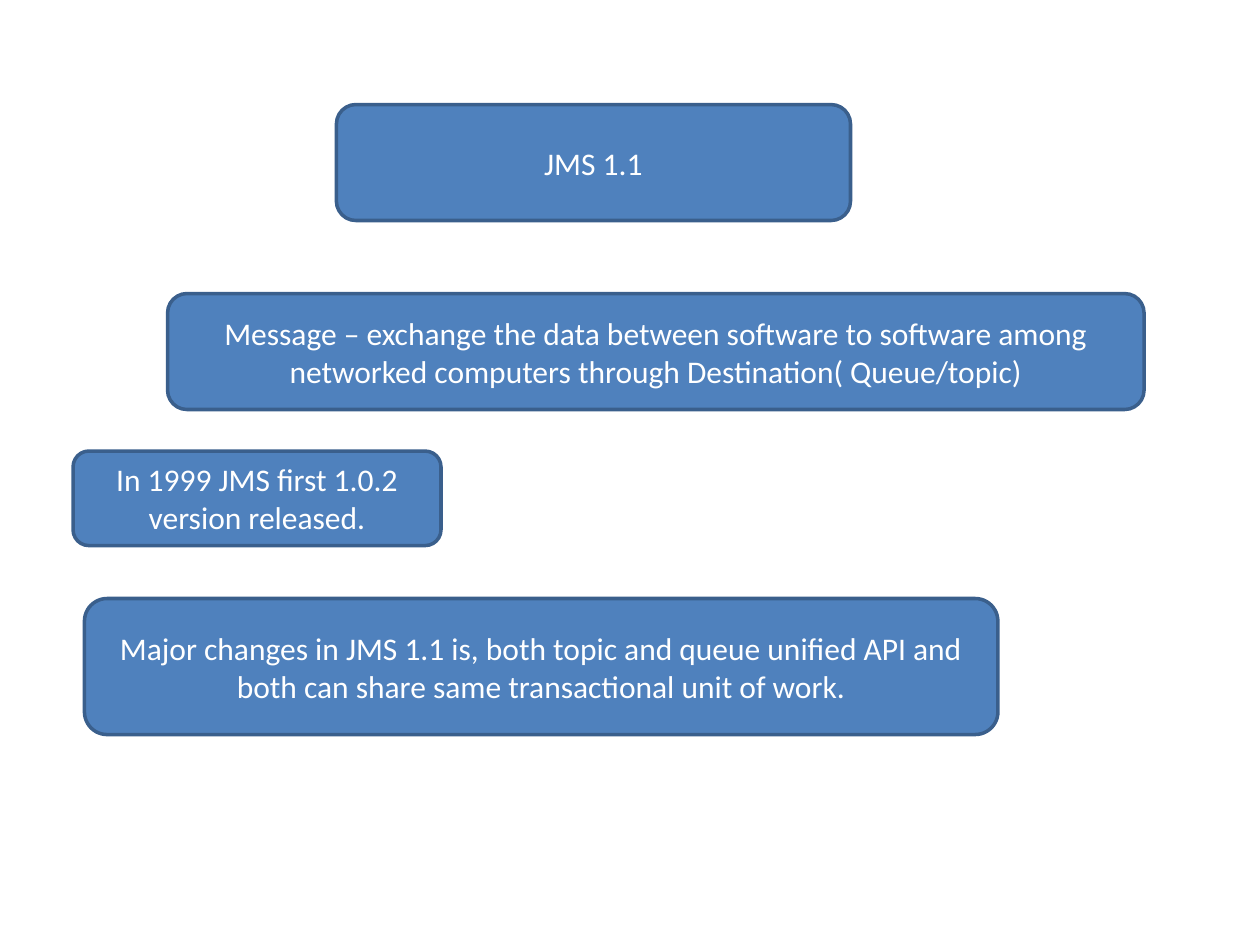
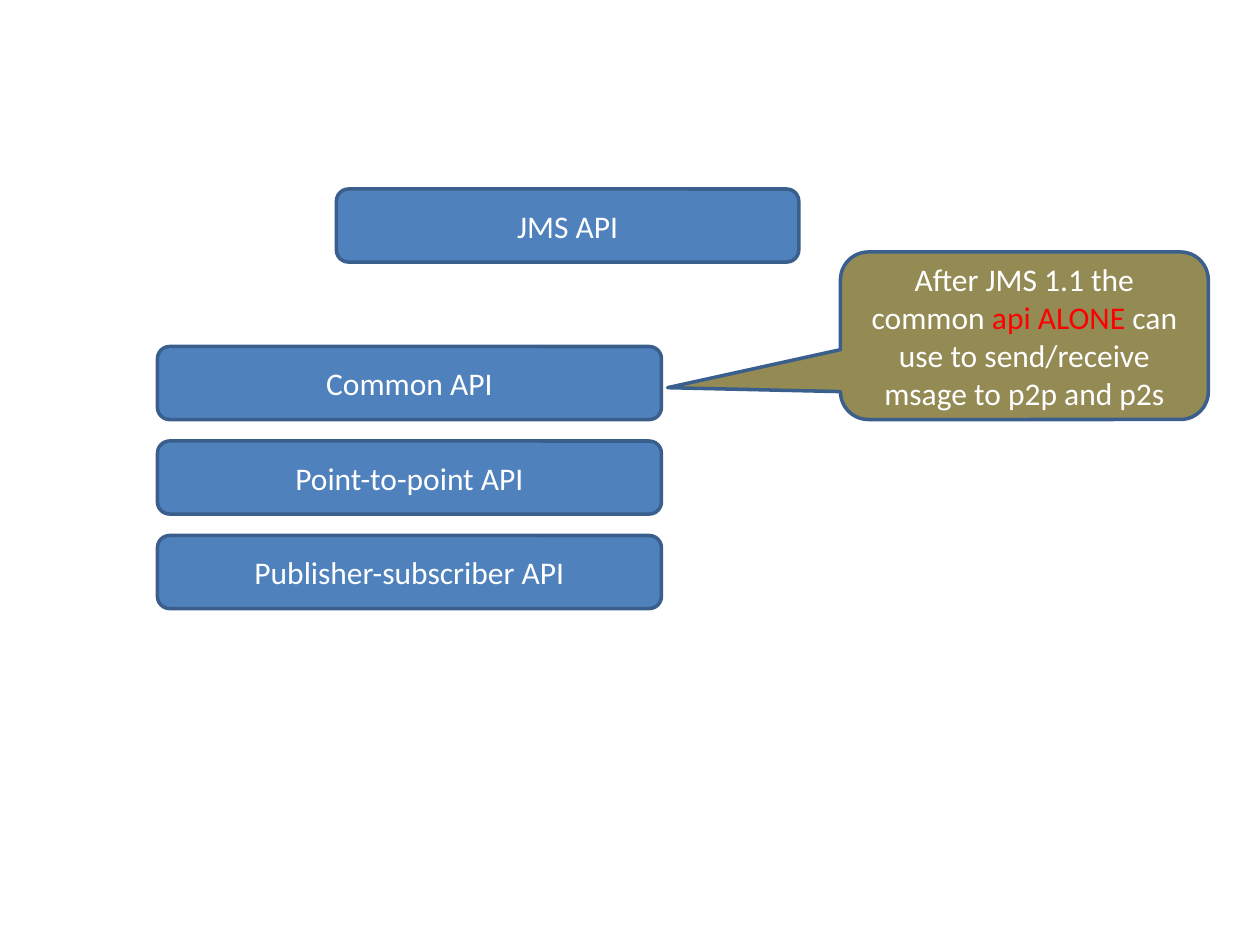
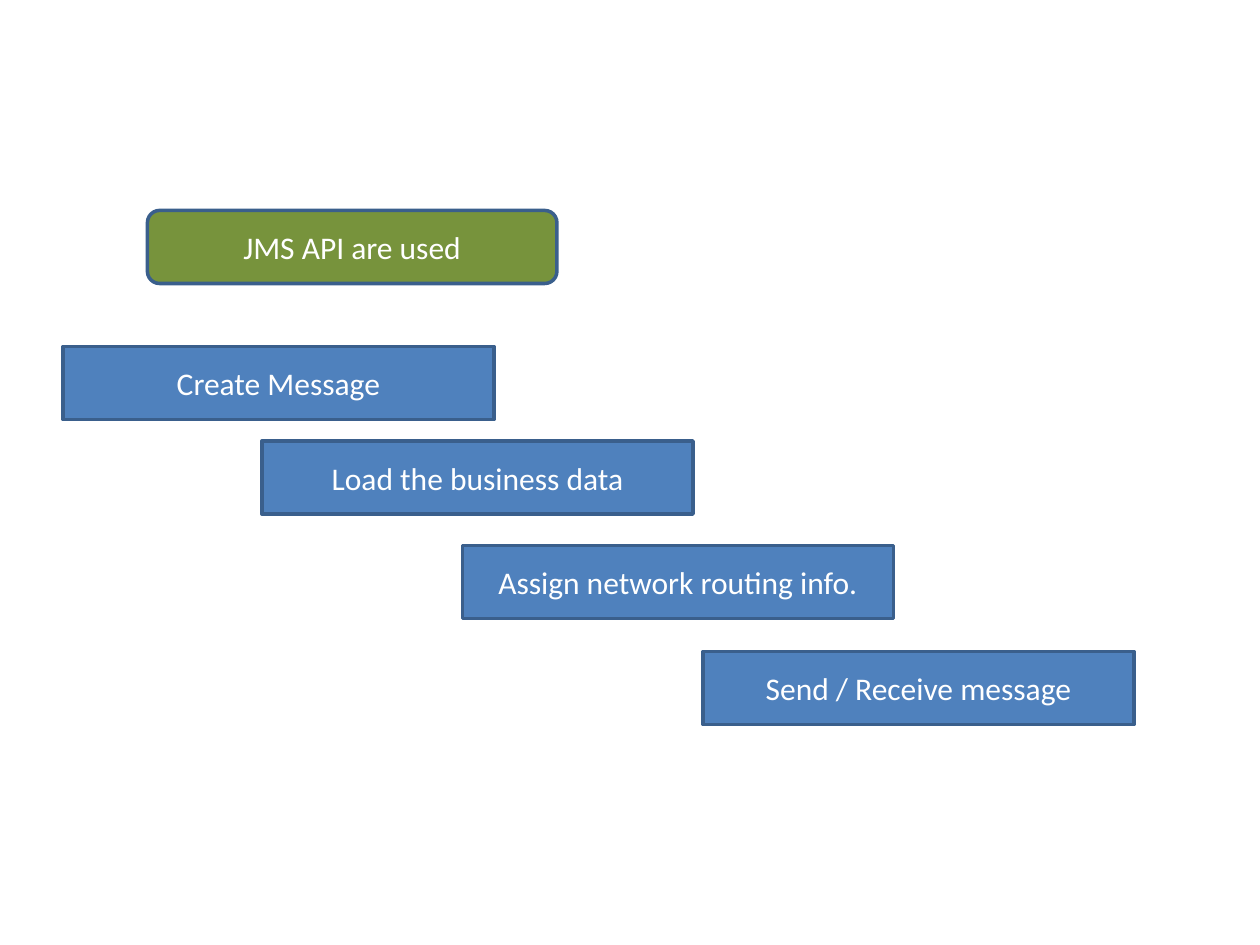
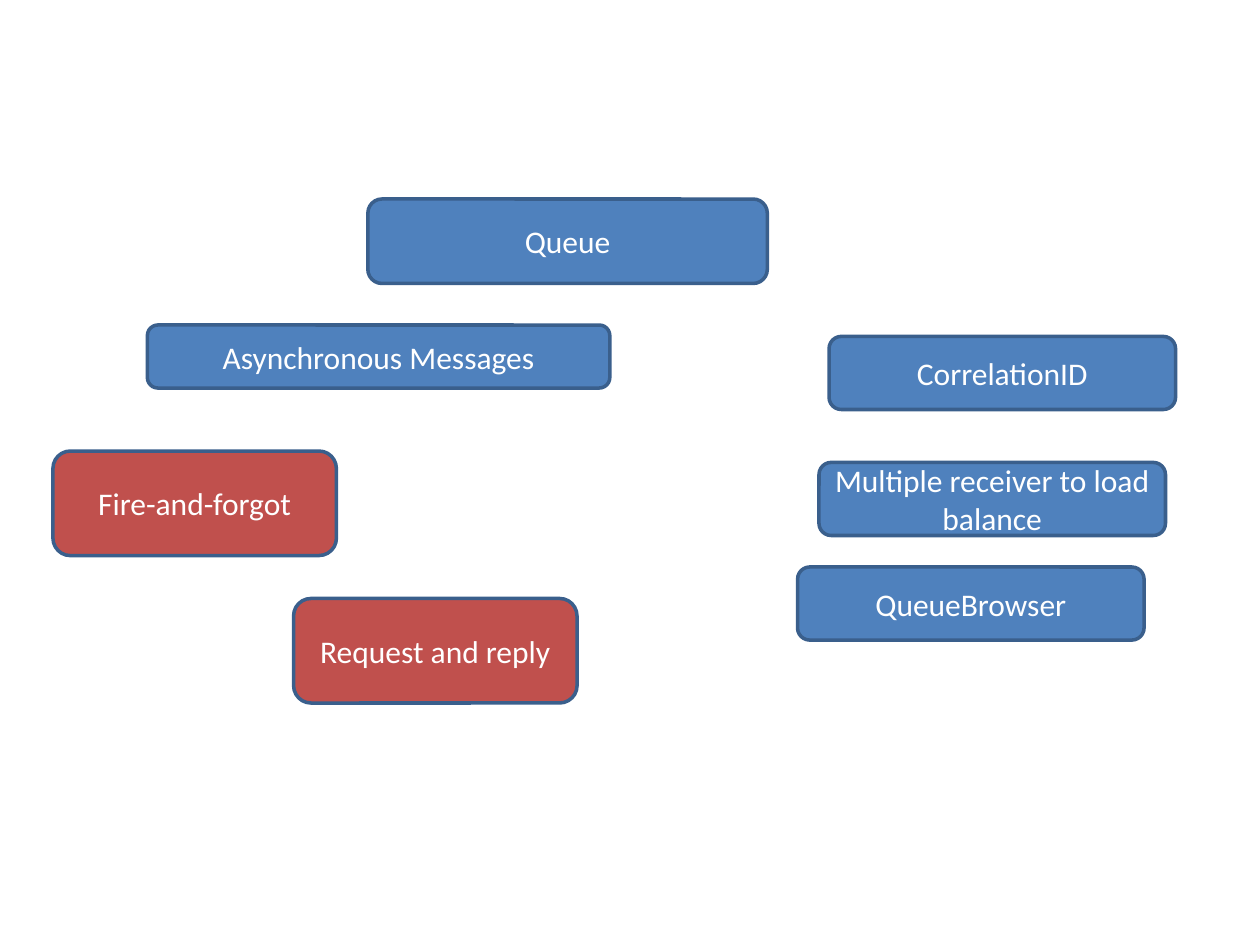
from dataclasses import dataclass

from pptx import Presentation
from pptx.dml.color import RGBColor
from pptx.enum.shapes import MSO_SHAPE
from pptx.enum.text import MSO_ANCHOR, PP_ALIGN
from pptx.shapes.autoshape import Shape
from pptx.slide import Slide
from pptx.util import Inches, Pt

BLUE = RGBColor(0x4F, 0x81, 0xBD)
OUTLINE = RGBColor(0x3A, 0x5F, 0x8C)
OLIVE = RGBColor(0x94, 0x8A, 0x54)
GREEN = RGBColor(0x77, 0x93, 0x3C)
BRICK = RGBColor(0xC0, 0x50, 0x4D)
RED = RGBColor(0xFF, 0x00, 0x00)
WHITE = RGBColor(0xFF, 0xFF, 0xFF)

FONT = "Calibri"
FONT_SIZE = Pt(18)
BAR_HEIGHT = 0.58
API_ROW_STEP = 0.75
BLANK_LAYOUT = 6


@dataclass(frozen=True)
class Box:
    """A labelled box; lengths are in inches."""
    text: str
    left: float
    top: float
    width: float
    height: float = BAR_HEIGHT
    fill: RGBColor = BLUE
    outline: MSO_SHAPE = MSO_SHAPE.ROUNDED_RECTANGLE


def draw_box(slide: Slide, box: Box) -> Shape:
    shape = slide.shapes.add_shape(
        box.outline, Inches(box.left), Inches(box.top),
        Inches(box.width), Inches(box.height))
    shape.shadow.inherit = False
    shape.fill.solid()
    shape.fill.fore_color.rgb = box.fill
    shape.line.color.rgb = OUTLINE
    shape.line.width = Pt(2)

    frame = shape.text_frame
    frame.word_wrap = True
    frame.vertical_anchor = MSO_ANCHOR.MIDDLE
    frame.text = box.text
    paragraph = frame.paragraphs[0]
    paragraph.alignment = PP_ALIGN.CENTER
    for run in paragraph.runs:
        format_run(run)
    return shape


def format_run(run, color: RGBColor = WHITE) -> None:
    run.font.name = FONT
    run.font.size = FONT_SIZE
    run.font.color.rgb = color


def add_slide(prs: Presentation, boxes: list[Box]) -> Slide:
    slide = prs.slides.add_slide(prs.slide_layouts[BLANK_LAYOUT])
    for box in boxes:
        draw_box(slide, box)
    return slide


def add_overview(prs: Presentation) -> None:
    add_slide(prs, [
        Box("JMS 1.1", 2.67, 0.83, 4.08, 0.92),
        Box("Message – exchange the data between software to software among "
            "networked computers through Destination( Queue/topic)",
            1.33, 2.33, 7.75, 0.92),
        Box("In 1999 JMS first 1.0.2 version released.", 0.58, 3.58, 2.92, 0.75),
        Box("Major changes in JMS 1.1 is, both topic and queue unified API and "
            "both can share same transactional unit of work.",
            0.67, 4.75, 7.25, 1.08),
    ])


def add_api_kinds(prs: Presentation) -> None:
    kinds = ["Common API", "Point-to-point API", "Publisher-subscriber API"]
    slide = add_slide(prs, [Box("JMS API", 2.67, 1.5, 3.67)] + [
        Box(kind, 1.25, 2.75 + row * API_ROW_STEP, 4)
        for row, kind in enumerate(kinds)])

    callout = draw_box(slide, Box(
        "After JMS 1.1 the common ", 6.67, 2, 2.92, 1.33, OLIVE,
        MSO_SHAPE.ROUNDED_RECTANGULAR_CALLOUT))
    callout.adjustments[0] = -0.97
    callout.adjustments[1] = 0.31
    paragraph = callout.text_frame.paragraphs[0]
    for text, color in [
            ("api ALONE ", RED),
            ("can use to send/receive msage to p2p and p2s", WHITE)]:
        run = paragraph.add_run()
        run.text = text
        format_run(run, color)


def add_api_steps(prs: Presentation) -> None:
    steps = [
        ("Create Message", 0.5, 2.75),
        ("Load the business data", 2.08, 3.5),
        ("Assign network routing info.", 3.67, 4.33),
        ("Send / Receive message", 5.58, 5.17),
    ]
    add_slide(prs, [Box("JMS API are used", 1.17, 1.67, 3.25, fill=GREEN)] + [
        Box(step, left, top, 3.42, outline=MSO_SHAPE.RECTANGLE)
        for step, left, top in steps])


def add_queue(prs: Presentation) -> None:
    exchange_styles = [
        ("Fire-and-forgot", 0.42, 3.58),
        ("Request and reply", 2.33, 4.75),
    ]
    features = [
        ("CorrelationID", 6.58, 2.67),
        ("Multiple receiver to load balance", 6.5, 3.67),
        ("QueueBrowser", 6.33, 4.5),
    ]
    add_slide(prs, [
        Box("Queue", 2.92, 1.58, 3.17, 0.67),
        Box("Asynchronous Messages", 1.17, 2.58, 3.67, 0.5),
        *(Box(style, left, top, 2.25, 0.83, BRICK)
          for style, left, top in exchange_styles),
        *(Box(feature, left, top, 2.75) for feature, left, top in features),
    ])


def main() -> None:
    prs = Presentation()
    prs.slide_width = Inches(10)
    prs.slide_height = Inches(7.5)
    add_overview(prs)
    add_api_kinds(prs)
    add_api_steps(prs)
    add_queue(prs)
    prs.save("out.pptx")


if __name__ == "__main__":
    main()
